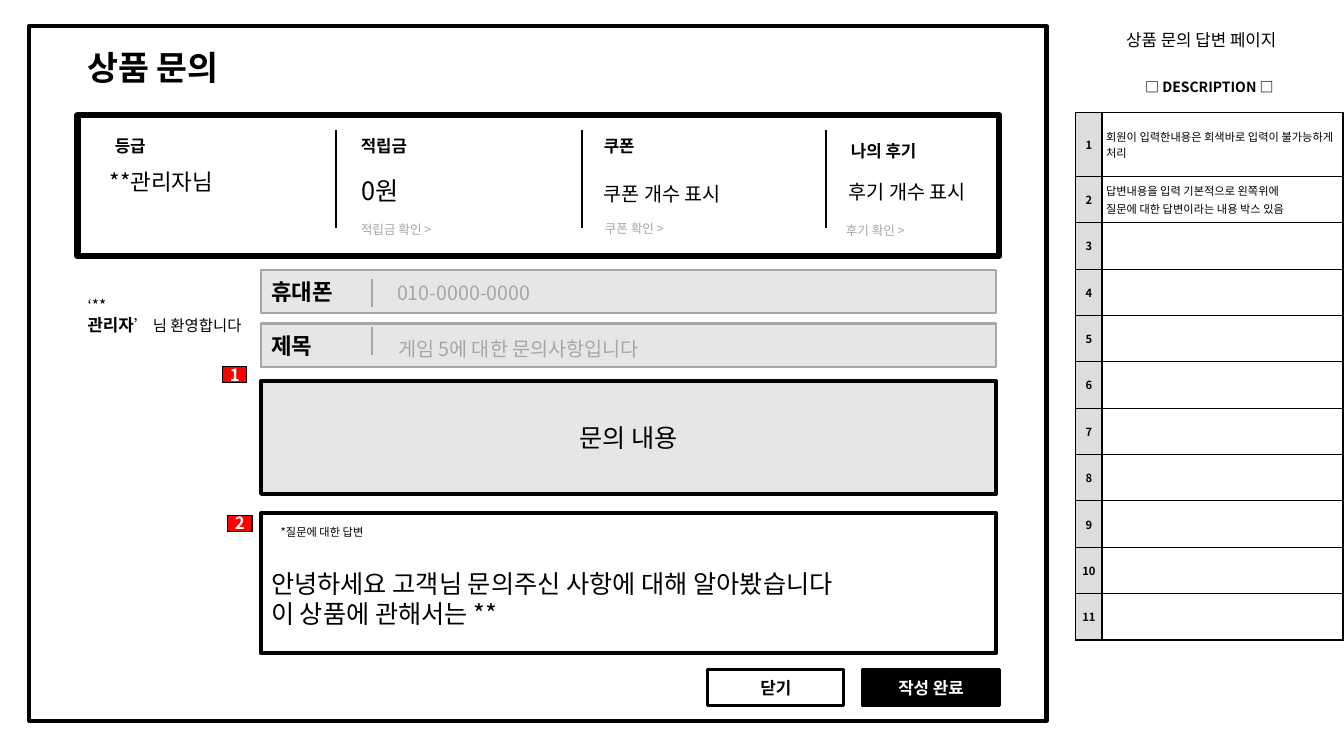
import pptx
import pptx.dml.color
import pptx.enum.shapes
import pptx.enum.text
import pptx.oxml
import pptx.oxml.ns
import pptx.util

Inches = pptx.util.Inches
Pt = pptx.util.Pt
SHAPE = pptx.enum.shapes.MSO_SHAPE
ALIGN = pptx.enum.text.PP_ALIGN
MIDDLE = pptx.enum.text.MSO_ANCHOR.MIDDLE
FONT = "Noto Sans CJK KR"
BLACK, WHITE, RED = "000000", "FFFFFF", "FF0000"
PALE, MUTED, DIVIDER, NUMBER_FILL = "E7E6E6", "A6A6A6", "A5A5A5", "DDDDDD"


def color(value):
    return pptx.dml.color.RGBColor.from_string(value)


def add_xml(parent, tag, **attributes):
    child = pptx.oxml.parse_xml(f"<a:{tag} {pptx.oxml.ns.nsdecls('a')}/>")
    for key, value in attributes.items():
        child.set(key, value)
    parent.append(child)
    return child


def style_font(font, size, ink=BLACK, bold=False):
    font.name = FONT
    font.size = Pt(size)
    font.bold = bold
    font.color.rgb = color(ink)


def write(frame, lines, size, ink=BLACK, bold=False, align=ALIGN.LEFT, before=None):
    frame.text = lines
    for paragraph in frame.paragraphs:
        paragraph.alignment = align
        paragraph.space_before = before
        style_font(paragraph.font, size, ink, bold)
        properties = paragraph._p.pPr.find(pptx.oxml.ns.qn("a:defRPr"))
        add_xml(properties, "ea", typeface=FONT)


def add_label(slide, box, text, size, ink=BLACK, bold=False, wrap=True):
    label = slide.shapes.add_textbox(*map(Inches, box))
    frame = label.text_frame
    frame.word_wrap = wrap
    frame.auto_size = pptx.enum.text.MSO_AUTO_SIZE.SHAPE_TO_FIT_TEXT
    write(frame, text, size, ink, bold)
    return frame


def add_box(slide, box, fill=None, line=BLACK, weight=3, kind=SHAPE.RECTANGLE):
    panel = slide.shapes.add_shape(kind, *map(Inches, box))
    panel.shadow.inherit = False
    if fill:
        panel.fill.solid()
        panel.fill.fore_color.rgb = color(fill)
    else:
        panel.fill.background()
    if line:
        panel.line.color.rgb = color(line)
        panel.line.width = Pt(weight)
    else:
        panel.line.fill.background()
    frame = panel.text_frame
    frame.word_wrap = True
    frame.vertical_anchor = MIDDLE
    return frame


def add_divider(slide, x, top, bottom, ink, weight):
    divider = slide.shapes.add_connector(
        pptx.enum.shapes.MSO_CONNECTOR.STRAIGHT,
        Inches(x), Inches(top), Inches(x), Inches(bottom))
    divider.line.color.rgb = color(ink)
    divider.line.width = Pt(weight)
    add_xml(divider._element.spPr, "effectLst")


def add_badge(slide, x, y, number):
    frame = add_box(slide, (x, y, 0.24, 0.16), RED, weight=0.75)
    frame.word_wrap = False
    write(frame, number, 12, WHITE, True, ALIGN.CENTER)


def add_field(slide, top, name, divider_top):
    frame = add_box(slide, (2.59, top, 7.29, 0.43), PALE, MUTED, 1.5)
    write(frame, name, 16, bold=True)
    add_divider(slide, 3.69, divider_top, divider_top + 0.28, DIVIDER, 1)


def add_button(slide, x, text, fill, ink):
    frame = add_box(slide, (x, 6.64, 1.35, 0.36), fill, weight=2.25)
    write(frame, text, 12, ink, True, ALIGN.CENTER)


def fill_cell(cell, text, size, fill, sides, bold=False, align=ALIGN.LEFT):
    cell.margin_left = cell.margin_right = Inches(0.04)
    cell.margin_top = cell.margin_bottom = Inches(0.04)
    cell.vertical_anchor = MIDDLE
    write(cell.text_frame, text, size, bold=bold, align=align, before=Pt(size * 0.2))
    properties = cell._tc.get_or_add_tcPr()
    for side in ("L", "R", "T", "B"):
        if side in sides:
            border = add_xml(properties, f"ln{side}", w=str(Pt(1)))
            add_xml(add_xml(border, "solidFill"), "srgbClr", val=BLACK)
        else:
            add_xml(add_xml(properties, f"ln{side}", w="0"), "noFill")
    cell.fill.solid()
    cell.fill.fore_color.rgb = color(fill)


def add_description(slide):
    notes = ["회원이 입력한내용은 회색바로 입력이 불가능하게 처리",
             "답변내용을 입력 기본적으로 왼쪽위에\n질문에 대한 답변이라는 내용 박스 있음"]
    heights = [0.53, 0.63] + [0.46] * 10
    frame = slide.shapes.add_table(
        len(heights), 2, Inches(10.67), Inches(0.59), Inches(2.65), Inches(sum(heights)))
    table = frame.table
    table.first_row = table.horz_banding = False
    for column, width in zip(table.columns, (0.26, 2.39)):
        column.width = Inches(width)
    for row, height in zip(table.rows, heights):
        row.height = Inches(height)
    table.cell(0, 0).merge(table.cell(0, 1))
    for column in range(2):
        heading = "" if column else "□ DESCRIPTION □"
        fill_cell(table.cell(0, column), heading, 10, WHITE, "B", True, ALIGN.CENTER)
    for number in range(1, len(heights)):
        note = notes[number - 1] if number <= len(notes) else ""
        fill_cell(table.cell(number, 0), str(number), 8, NUMBER_FILL, "LRTB", True, ALIGN.CENTER)
        fill_cell(table.cell(number, 1), note, 8, WHITE, "LRTB")


def add_summary(slide):
    add_box(slide, (0.77, 1.14, 9.14, 1.4), weight=4.5)
    for x in (3.33, 5.77, 8.19):
        add_divider(slide, x, 1.29, 2.26, BLACK, 1.5)
    for x, y, title in ((1.04, 1.3, "등급"), (3.48, 1.3, "적립금"),
                        (5.89, 1.3, "쿠폰"), (8.34, 1.35, "나의 후기")):
        add_label(slide, (x, y, 1.41, 0.3), title, 12, bold=True)
    for box, value, size in (((0.99, 1.62, 1.52, 0.37), "**관리자님", 16),
                             ((3.49, 1.69, 1.41, 0.4), "0원", 18),
                             ((5.89, 1.76, 1.92, 0.34), "쿠폰 개수 표시", 14),
                             ((8.32, 1.74, 1.74, 0.34), "후기 개수 표시", 14)):
        add_label(slide, box, value, size)
    for x, y, width, link in ((3.48, 2.15, 1.01, "적립금 확인 >"),
                              (5.9, 2.14, 0.88, "쿠폰 확인 >"),
                              (8.29, 2.16, 0.88, "후기 확인 >")):
        add_label(slide, (x, y, width, 0.25), link, 9, MUTED, wrap=False)


def add_welcome(slide):
    frame = add_label(slide, (0.77, 2.89, 1.88, 0.49), "‘**\n", 11)
    greeting = frame.paragraphs[1]
    for text, size, bold in (("관리자", 12, True), ("’ 님 환영합니다", 11, False)):
        run = greeting.add_run()
        run.text = text
        style_font(run.font, size, bold=bold)
        add_xml(run.font._element, "ea", typeface=FONT)


def add_inquiry(slide):
    add_field(slide, 2.68, "휴대폰", 2.77)
    add_field(slide, 3.21, "제목", 3.24)
    add_label(slide, (3.84, 2.74, 1.56, 0.34), "010-0000-0000", 14, MUTED, wrap=False)
    add_label(slide, (3.85, 3.29, 2.87, 0.34), "게임 5에 대한 문의사항입니다", 14, MUTED, wrap=False)
    question = add_box(slide, (2.59, 3.78, 7.29, 1.12), PALE)
    write(question, "문의 내용", 18, align=ALIGN.CENTER)
    answer = add_box(slide, (2.59, 5.09, 7.29, 1.39))
    answer.margin_top = Inches(0.35)
    write(answer, "안녕하세요 고객님 문의주신 사항에 대해 알아봤습니다\n이 상품에 관해서는 **", 18)
    caption = add_box(slide, (2.12, 5.07, 2.15, 0.41), line=None, kind=SHAPE.OVAL)
    write(caption, "*질문에 대한 답변", 8, align=ALIGN.CENTER)
    add_button(slide, 7.02, "닫기", WHITE, BLACK)
    add_button(slide, 8.56, "작성 완료", BLACK, WHITE)


def main():
    deck = pptx.Presentation()
    deck.slide_width, deck.slide_height = Inches(13.33), Inches(7.5)
    slide = deck.slides.add_slide(deck.slide_layouts[6])
    add_box(slide, (0.29, 0.26, 10.09, 6.89))
    add_label(slide, (0.77, 0.42, 1.67, 0.5), "상품 문의", 24, bold=True, wrap=False)
    add_welcome(slide)
    add_summary(slide)
    add_inquiry(slide)
    add_description(slide)
    add_badge(slide, 2.21, 3.64, "1")
    add_badge(slide, 2.26, 5.11, "2")
    page_name = add_box(slide, (10.67, 0.2, 2.49, 0.4), line=None)
    write(page_name, "상품 문의 답변 페이지", 12, align=ALIGN.CENTER)
    deck.save("out.pptx")


if __name__ == "__main__":
    main()
